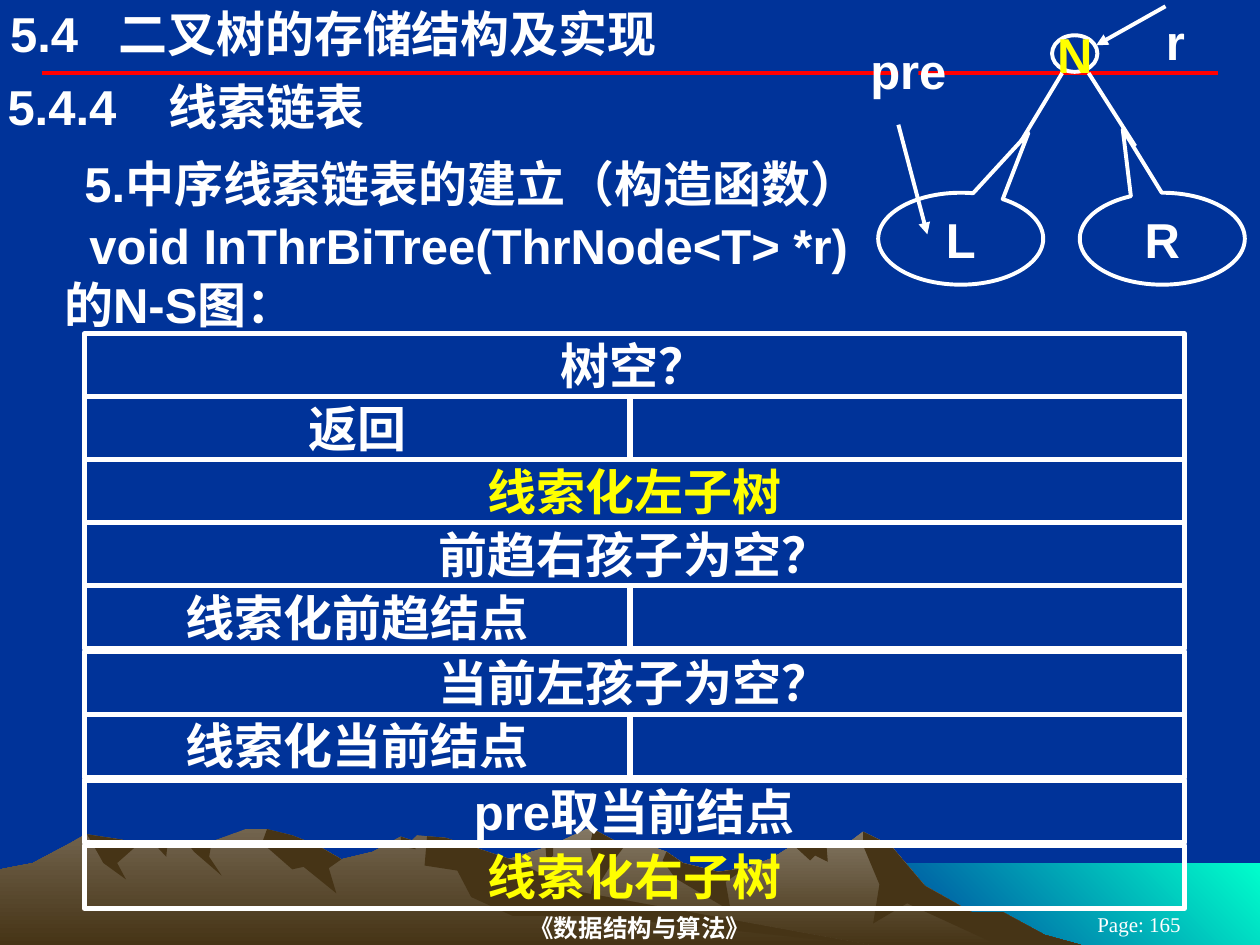
from collections import namedtuple

from lxml import etree
from pptx import Presentation
from pptx.dml.color import RGBColor
from pptx.enum.shapes import MSO_CONNECTOR, MSO_SHAPE
from pptx.enum.text import MSO_ANCHOR, MSO_AUTO_SIZE, PP_ALIGN
from pptx.oxml.ns import qn
from pptx.util import Inches, Pt

RECTANGLE, ELLIPSE = MSO_SHAPE.RECTANGLE, MSO_SHAPE.OVAL
CALLOUT = MSO_SHAPE.OVAL_CALLOUT
STRAIGHT = MSO_CONNECTOR.STRAIGHT
TOP, MIDDLE = MSO_ANCHOR.TOP, MSO_ANCHOR.MIDDLE
LEFT, CENTER = PP_ALIGN.LEFT, PP_ALIGN.CENTER
NO_AUTOFIT = MSO_AUTO_SIZE.NONE

NAVY = RGBColor(0x00, 0x33, 0x99)
AQUA = RGBColor(0x00, 0xFF, 0xCC)
WHITE = RGBColor(0xFF, 0xFF, 0xFF)
YELLOW = RGBColor(0xFF, 0xFF, 0x00)
RED = RGBColor(0xFF, 0x00, 0x00)
BROWN = RGBColor(0x46, 0x34, 0x16)
TAUPE = RGBColor(0x83, 0x77, 0x63)
DUSK = RGBColor(0x72, 0x64, 0x4E)

TIGHT = (0.02, 0.01)
ROOMY = (0.1, 0.05)
PAGE_WIDTH, PAGE_HEIGHT = 10, 7.5
ROW_HEIGHT, SEAM = 0.5, 0.02

Mountain = namedtuple("Mountain", "crest_color skyline folds")
Fold = namedtuple("Fold", "start end feet")
Row = namedtuple("Row", "text color split seam", defaults=(WHITE, False, False))

RIGHT_MOUNTAIN = Mountain(
    TAUPE,
    [(2.58, 0), (3.27, 0.41), (3.94, 0.65), (4.38, 0.79), (4.65, 0.92), (4.71, 0.92),
     (4.93, 0.8), (5.09, 0.81), (5.29, 0.74), (5.42, 0.65), (5.7, 0.58), (5.92, 0.61),
     (6.13, 0.69), (6.29, 0.79), (6.56, 0.79), (6.76, 0.83), (6.85, 0.9), (7.07, 0.79),
     (7.34, 0.47), (7.71, 0.26), (7.96, 0.26), (8.29, 0.08), (8.58, 0)],
    [Fold(6.85, 8.58, [(7.92, 0), (7.2, 0.33), (6.93, 0.17), (6.98, 0.48), (6.85, 0.79)]),
     Fold(4.71, 4.97, [(4.87, 0.67), (4.74, 0.46), (4.65, 0.23), (4.73, 0.6), (4.68, 0.79)]),
     Fold(5.29, 5.92, [(5.76, 0.5), (5.8, 0.27), (5.36, 0.53), (5.26, 0.67)]),
     Fold(6.3, 6.56, [(6.57, 0.66), (6.47, 0.71), (6.43, 0.67)]),
     Fold(4.33, 4.39, [(4.39, 0.71), (4.34, 0.66)])])
LEFT_MOUNTAIN = Mountain(
    DUSK,
    [(0, 0.6), (0.26, 0.65), (0.56, 0.81), (0.68, 0.88), (0.94, 0.84), (1.11, 0.81),
     (1.28, 0.79), (1.43, 0.83), (1.6, 0.79), (1.95, 0.92), (2.12, 0.92), (2.32, 0.87),
     (2.52, 0.79), (2.71, 0.68), (2.96, 0.74), (3.18, 0.86), (3.27, 0.83), (3.31, 0.87),
     (3.54, 0.85), (4.11, 0.66), (4.55, 0.43), (6.9, 0)],
    [Fold(0.69, 1.11, [(0.93, 0.65), (1, 0.52), (0.82, 0.65), (0.77, 0.74)]),
     Fold(1.23, 1.33, [(1.32, 0.7)]),
     Fold(1.48, 1.68, [(1.66, 0.7), (1.76, 0.55), (1.54, 0.74)]),
     Fold(2.12, 2.71, [(2.61, 0.61), (2.67, 0.41), (2.41, 0.62), (2.32, 0.6), (2.08, 0.81)]),
     Fold(3.18, 3.27, [(3.3, 0.76), (3.19, 0.78)]),
     Fold(3.39, 6.9, [(4.72, 0.23), (4.07, 0.23), (3.74, 0.38), (3.63, 0.59), (3.37, 0.63)])])

DIAGRAM_ROWS = [
    Row("树空？"),
    Row("返回", split=True),
    Row("线索化左子树", YELLOW),
    Row("前趋右孩子为空？"),
    Row("线索化前趋结点", split=True, seam=True),
    Row("当前左孩子为空？"),
    Row("线索化当前结点", split=True, seam=True),
    Row("pre取当前结点", seam=True),
    Row("线索化右子树", YELLOW)]


def write_text(frame, text, size=28, font="Arial", color=WHITE, bold=True, align=LEFT,
               anchor=TOP, inset=TIGHT, wrap=True, indents=(0,), tab=None):
    frame.auto_size = NO_AUTOFIT
    frame.word_wrap = wrap
    frame.vertical_anchor = anchor
    frame.margin_left = frame.margin_right = Inches(inset[0])
    frame.margin_top = frame.margin_bottom = Inches(inset[1])
    frame.text = text
    for para, indent in zip(frame.paragraphs, indents):
        para.alignment = align
        settings = para._p.get_or_add_pPr()
        if indent:
            settings.set("marL", str(Inches(indent)))
        if tab:
            stops = etree.SubElement(settings, qn("a:tabLst"))
            etree.SubElement(stops, qn("a:tab"), pos=str(Inches(tab)), algn="l")
        for span in para.runs:
            span.font.name, span.font.size = font, Pt(size)
            span.font.bold = bold
            span.font.color.rgb = color


def add_text(page, left, top, width, height, text, **style):
    box = page.shapes.add_textbox(Inches(left), Inches(top), Inches(width), Inches(height))
    write_text(box.text_frame, text, **style)


def paint(shape, fill=None, end=None, angle=90, outline=None, weight=2.25):
    shape.shadow.inherit = False
    if end is not None:
        shape.fill.gradient()
        shape.fill.gradient_angle = 360 - angle
        for stop, color in zip(shape.fill.gradient_stops, (fill, end)):
            stop.color.rgb = color
    elif fill is not None:
        shape.fill.solid()
        shape.fill.fore_color.rgb = fill
    else:
        shape.fill.background()
    if outline is None:
        shape.line.fill.background()
    else:
        shape.line.color.rgb = outline
        shape.line.width = Pt(weight)


def add_shape(page, kind, left, top, width, height, **look):
    shape = page.shapes.add_shape(kind, Inches(left), Inches(top), Inches(width), Inches(height))
    paint(shape, **look)
    return shape


def add_line(page, start, finish, color=WHITE, arrow=False):
    line = page.shapes.add_connector(STRAIGHT, *(Inches(value) for value in start + finish))
    line.line.color.rgb = color
    line.line.width = Pt(2.25)
    properties = line.element.spPr
    if arrow:
        etree.SubElement(properties.find(qn("a:ln")), qn("a:tailEnd"), type="triangle")
    etree.SubElement(properties, qn("a:effectLst"))


def height_at(skyline, x):
    for (x1, height1), (x2, height2) in zip(skyline, skyline[1:]):
        if x1 <= x <= x2:
            return height1 + (height2 - height1) * (x - x1) / (x2 - x1)


def skyline_between(skyline, start, end):
    inner = [point for point in skyline if start < point[0] < end]
    return [(start, height_at(skyline, start)), *inner, (end, height_at(skyline, end))]


def add_mountain(page, left, ground, mountain):
    def add_slope(points, **look):
        corners = [(Inches(left + x), Inches(ground - height)) for x, height in points]
        builder = page.shapes.build_freeform(*corners[0])
        builder.add_line_segments(corners[1:], close=True)
        paint(builder.convert_to_shape(), **look)

    skyline = mountain.skyline
    base = [(skyline[-1][0], 0), (skyline[0][0], 0)]
    add_slope(skyline + base, fill=mountain.crest_color, end=BROWN)
    for fold in mountain.folds:
        add_slope(skyline_between(skyline, fold.start, fold.end) + fold.feet, fill=BROWN)


def add_scenery(page, left, top, width, height):
    ground = top + height
    water_width, water_height = 3.17, 0.65
    add_shape(page, RECTANGLE, left + width - water_width, ground - water_height,
              water_width, water_height, fill=AQUA, end=NAVY, angle=135)
    for mountain in (RIGHT_MOUNTAIN, LEFT_MOUNTAIN):
        add_mountain(page, left, ground, mountain)
    margin, rule_y = 0.33, top + 0.58
    add_line(page, (left + margin, rule_y), (left + width - margin, rule_y), color=RED)


def add_footer(page, left, top):
    style = {"font": "Times New Roman", "align": CENTER, "anchor": MIDDLE}
    add_text(page, left, top, 6.06, 0.28, "《数据结构与算法》", size=14, inset=(0, 0.01), **style)
    add_text(page, left + 6.2, top + 0.03, 1.58, 0.17, "Page: 165", size=12, bold=False,
             inset=ROOMY, **style)


def add_headings(page, left, top, width):
    title = page.shapes.title
    title.left, title.top = Inches(left + 0.08), Inches(top + 0.03)
    title.width, title.height = Inches(6.5), Inches(0.47)
    write_text(title.text_frame, "5.4\t二叉树的存储结构及实现", inset=(0, 0), tab=0.86)
    add_text(page, left + 0.04, top + 0.6, width - 0.04, 0.49, "5.4.4\t线索链表", tab=1.28)
    add_text(page, left, top + 1.21, width, 0.49, "5.中序线索链表的建立（构造函数）", indents=(0.65,))
    add_text(page, left + 0.04, top + 1.7, width - 0.04, 0.96,
             "void InThrBiTree(ThrNode<T> *r)\n的N-S图：", indents=(0.65, 0.45))


def add_tree(page, left, top):
    label = {"align": CENTER, "anchor": MIDDLE, "inset": ROOMY}

    def add_subtree(x, name, tip):
        callout = add_shape(page, CALLOUT, left + x, top + 1.48, 1.31, 0.73, fill=NAVY, outline=WHITE)
        callout.adjustments[0], callout.adjustments[1] = tip
        write_text(callout.text_frame, name, **label)

    def add_edge(start, finish, arrow=False):
        ends = [(left + x, top + y) for x, y in (start, finish)]
        add_line(page, *ends, arrow=arrow)

    def add_pointer(name, start, finish, label_y):
        add_edge(start, finish, arrow=True)
        tag = add_shape(page, RECTANGLE, left + start[0], top + label_y, 0.16, 0.39, fill=NAVY)
        write_text(tag.text_frame, name, wrap=False, **label)

    add_subtree(1.6, "R", (-0.24, -1.19))
    root = add_shape(page, ELLIPSE, left + 1.38, top + 0.23, 0.36, 0.29, fill=NAVY, outline=WHITE)
    write_text(root.text_frame, "N", color=YELLOW, wrap=False, **label)
    add_edge((1.46, 0.53), (1.02, 1.26))
    add_subtree(0, "L", (0.41, -1.15))
    add_edge((1.67, 0.53), (2.04, 1.11))
    add_pointer("pre", (0.16, 0.94), (0.39, 1.81), label_y=0.31)
    add_pointer("r", (2.28, 0), (1.73, 0.31), label_y=0.08)


def add_diagram(page, left, top, width, branch):
    frame = {"outline": WHITE, "weight": 3}
    for row in DIAGRAM_ROWS:
        cell_width = branch if row.split else width
        cell = add_shape(page, RECTANGLE, left, top, cell_width, ROW_HEIGHT, **frame)
        write_text(cell.text_frame, row.text, color=row.color, align=CENTER)
        if row.split:
            add_shape(page, RECTANGLE, left + branch, top, width - branch, ROW_HEIGHT, **frame)
        top += ROW_HEIGHT + (SEAM if row.seam else 0)


def main():
    deck = Presentation()
    deck.slide_width, deck.slide_height = Inches(PAGE_WIDTH), Inches(PAGE_HEIGHT)
    page = deck.slides.add_slide(deck.slide_layouts[5])
    page.background.fill.solid()
    page.background.fill.fore_color.rgb = NAVY
    add_scenery(page, 0, 0, PAGE_WIDTH, PAGE_HEIGHT)
    add_footer(page, 2.05, 7.22)
    add_headings(page, 0, 0, PAGE_WIDTH)
    add_tree(page, 6.97, 0.05)
    add_diagram(page, 0.67, 2.65, width=8.73, branch=4.33)
    deck.save("out.pptx")


if __name__ == "__main__":
    main()
